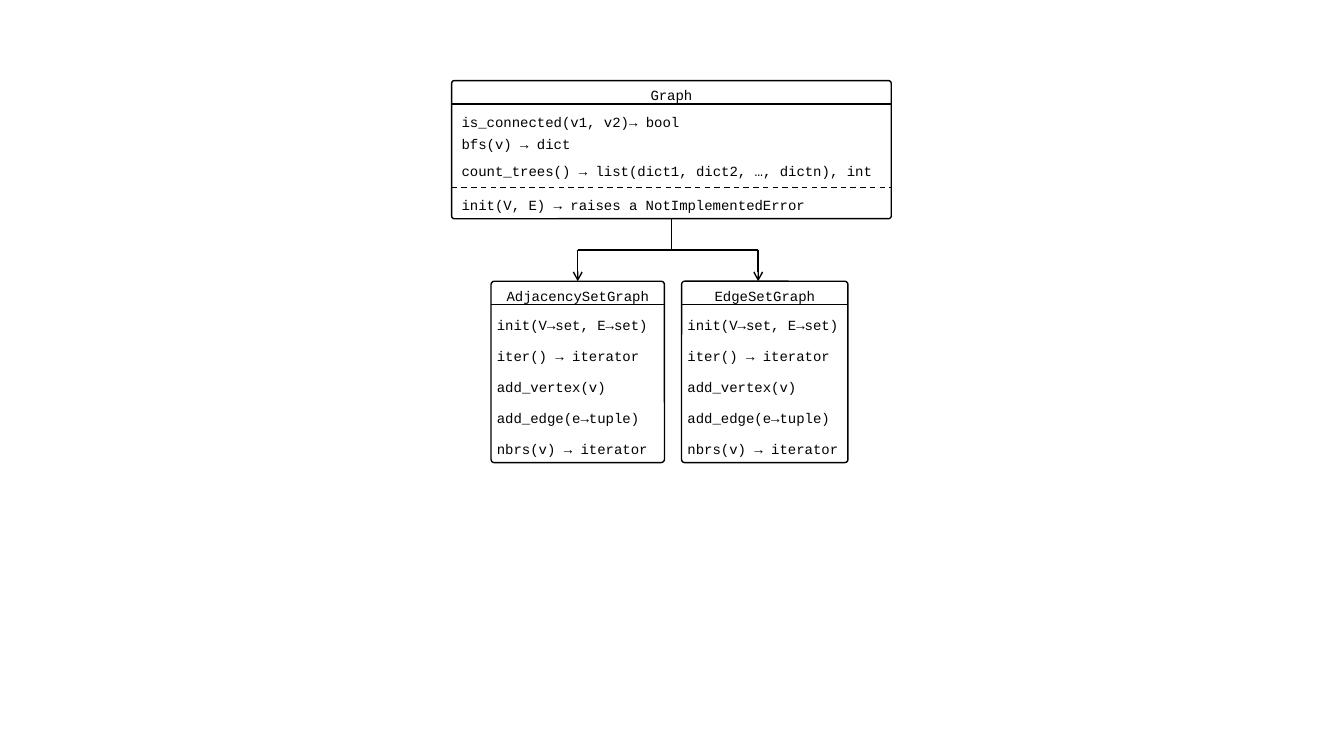
from lxml import etree
from pptx import Presentation
from pptx import util as u
from pptx.dml.color import RGBColor
from pptx.enum import dml, shapes, text
from pptx.oxml.ns import qn

deck = Presentation()
deck.slide_width, deck.slide_height = u.Inches(13.33), u.Inches(7.5)
page = deck.slides.add_slide(deck.slide_layouts[6])
items = page.shapes


def ink(target, code="000000"):
    target.rgb = RGBColor.from_string(code)


def rule(x1, y1, x2, y2):
    line = items.add_connector(shapes.MSO_CONNECTOR.STRAIGHT, *map(u.Inches, (x1, y1, x2, y2)))
    line.line.width = u.Pt(1)
    ink(line.line.color)
    etree.SubElement(line._element.spPr, qn("a:effectLst"))
    return line


base = ["is_connected(v1, v2)→ bool", "bfs(v) → dict",
        "count_trees() → list(dict1, dict2, …, dictn), int",
        "init(V, E) → raises a NotImplementedError"]
calls = ["init(V→set, E→set)", "iter() → iterator", "add_vertex(v)",
         "add_edge(e→tuple)", "nbrs(v) → iterator"]
rows = [3.09, 3.4, 3.71, 4.01, 4.32]
boxes = [
    ("Graph", 4.48, 0.8, 4.36, 1.37, 4.48, base, [1.08, 1.3, 1.56, 1.9]),
    ("AdjacencySetGraph", 4.87, 2.79, 1.72, 1.8, 4.83, calls, rows),
    ("EdgeSetGraph", 6.76, 2.79, 1.65, 1.8, 6.72, calls, rows),
]
frames = []
for name, x, y, wide, high, left, lines, tops in boxes:
    frame = items.add_shape(shapes.MSO_SHAPE.ROUNDED_RECTANGLE, *map(u.Inches, (x, y, wide, high)))
    frame.adjustments[0] = 0.019
    frame.shadow.inherit = False
    frame.fill.background()
    frame.line.width = u.Pt(1)
    ink(frame.line.color)
    frames.append(frame)
    rule(x, y + 0.23, x + wide, y + 0.23)

    labels = [(name, x, y + 0.01, wide, text.PP_ALIGN.CENTER)]
    for line, top in zip(lines, tops):
        labels.append((line, left, top, len(line) / 12 + 0.27, text.PP_ALIGN.LEFT))
    for words, lx, ly, span, side in labels:
        label = items.add_textbox(*map(u.Inches, (lx, ly, span, 0.27)))
        label.text_frame.word_wrap = True
        para = label.text_frame.paragraphs[0]
        para.alignment = side
        run = para.add_run()
        run.text = words
        run.font.name, run.font.size = "Courier New", u.Pt(10)
        ink(run.font.color)

dash = rule(4.48, 1.86, 8.84, 1.86)
dash.line.dash_style = dml.MSO_LINE.DASH

stem = rule(6.66, 2.17, 6.66, 2.48)
stem.begin_connect(frames[0], 2)
rule(5.73, 2.48, 7.52, 2.48)
for x in (5.73, 7.52):
    arrow = rule(x, 2.48, x, 2.79)
    etree.SubElement(arrow.line._get_or_add_ln(), qn("a:tailEnd"), type="arrow")
    if x == 5.73:
        arrow.end_connect(frames[1], 0)

deck.save("out.pptx")
